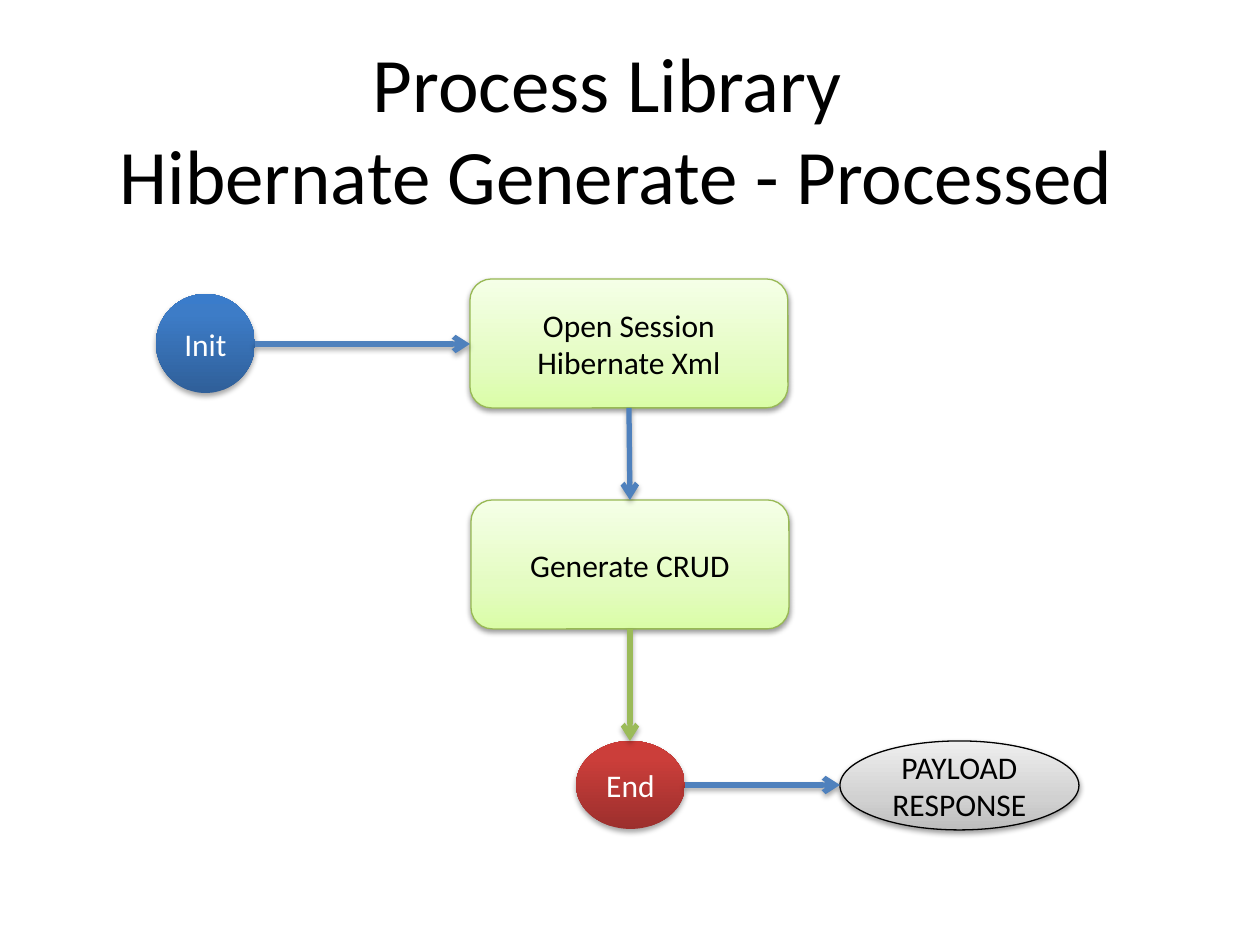
from dataclasses import dataclass

import lxml.etree
import pptx
import pptx.dml.color
import pptx.enum.shapes
import pptx.enum.text
import pptx.oxml
import pptx.oxml.ns
import pptx.util

PX = 914400 // 126
FONT = "Calibri"
SHAPE = pptx.enum.shapes.MSO_SHAPE
qn = pptx.oxml.ns.qn

COLORS = {
    "black": "000000",
    "white": "FFFFFF",
    "blue": "4F81BD",
    "green": "9BBB59",
    "green_edge": "98B955",
}
GRADIENTS = {
    "blue": [(0, "2F5F99"), (80, "3D7CC7"), (100, "3A7CCB")],
    "red": [(0, "9C2F2D"), (80, "CB3E3A"), (100, "CE3B37")],
    "green": [(0, "DAFDA7"), (35, "E4FCC2"), (100, "F5FFE7")],
    "gray": [(0, "BDBDBD"), (35, "D1D1D1"), (100, "EEEEEE")],
}


@dataclass
class Node:
    kind: SHAPE
    left: int
    top: int
    width: int
    height: int
    lines: list[str]
    gradient: str
    text_color: str = "black"
    edge: str | None = None


@dataclass
class Arrow:
    x1: int
    y1: int
    x2: int
    y2: int
    color: str = "blue"


NODES = [
    Node(SHAPE.OVAL, 156, 294, 99, 99, ["Init"], "blue", "white"),
    Node(SHAPE.OVAL, 576, 741, 109, 88, ["End"], "red", "white"),
    Node(SHAPE.ROUNDED_RECTANGLE, 470, 279, 318, 129,
         ["Open Session Hibernate Xml"], "green", edge="green_edge"),
    Node(SHAPE.ROUNDED_RECTANGLE, 471, 500, 318, 129,
         ["Generate CRUD"], "green", edge="green_edge"),
    Node(SHAPE.OVAL, 840, 741, 239, 89,
         ["PAYLOAD", "RESPONSE"], "gray", edge="black"),
]
ARROWS = [
    Arrow(255, 344, 470, 344),
    Arrow(629, 408, 630, 500),
    Arrow(630, 629, 630, 741, "green"),
    Arrow(685, 785, 840, 785),
]


def px(n: int) -> int:
    return pptx.util.Emu(n * PX)


def rgb(name: str) -> pptx.dml.color.RGBColor:
    return pptx.dml.color.RGBColor.from_string(COLORS[name])


def add_color(parent, value: str):
    return lxml.etree.SubElement(parent, qn("a:srgbClr"), val=value)


def set_shadow(sp_pr, alpha: int, dist: int) -> None:
    effects = sp_pr.find(qn("a:effectLst"))
    if effects is None:
        effects = lxml.etree.SubElement(sp_pr, qn("a:effectLst"))
    shadow = lxml.etree.SubElement(
        effects, qn("a:outerShdw"), blurRad="40000", dist=str(dist),
        dir="5400000", rotWithShape="0")
    color = add_color(shadow, COLORS["black"])
    lxml.etree.SubElement(color, qn("a:alpha"), val=str(alpha * 1000))


def set_gradient(sp, stops: list[tuple[int, str]]) -> None:
    sp.fill.gradient()
    sp.fill.gradient_angle = 90
    stop_list = sp._element.spPr.find(".//" + qn("a:gsLst"))
    for stop in list(stop_list):
        stop_list.remove(stop)
    for position, value in stops:
        stop = lxml.etree.SubElement(
            stop_list, qn("a:gs"), pos=str(position * 1000))
        add_color(stop, value)


def set_text(sp, lines: list[str], size: int, color: str) -> None:
    tf = sp.text_frame
    tf.word_wrap = True
    tf.vertical_anchor = pptx.enum.text.MSO_ANCHOR.MIDDLE
    tf.text = "\n".join(lines)
    for p in tf.paragraphs:
        p.alignment = pptx.enum.text.PP_ALIGN.CENTER
        p.font.name = FONT
        p.font.size = pptx.util.Pt(size)
        p.font.color.rgb = rgb(color)


def add_node(s, node: Node) -> None:
    sp = s.shapes.add_shape(node.kind, px(node.left), px(node.top),
                            px(node.width), px(node.height))
    set_gradient(sp, GRADIENTS[node.gradient])
    if node.edge:
        sp.line.color.rgb = rgb(node.edge)
        sp.line.width = pptx.util.Pt(0.75)
    else:
        sp.line.fill.background()
    sp.shadow.inherit = False
    alpha, dist = (38, 20000) if node.edge else (35, 23000)
    set_shadow(sp._element.spPr, alpha, dist)
    set_text(sp, node.lines, 18, node.text_color)


def add_arrow(s, arrow: Arrow) -> None:
    line = s.shapes.add_connector(
        pptx.enum.shapes.MSO_CONNECTOR.STRAIGHT,
        px(arrow.x1), px(arrow.y1), px(arrow.x2), px(arrow.y2))
    line.line.color.rgb = rgb(arrow.color)
    line.line.width = pptx.util.Pt(3)
    sp_pr = line._element.spPr
    lxml.etree.SubElement(sp_pr.find(qn("a:ln")), qn("a:tailEnd"), type="arrow")
    set_shadow(sp_pr, 35, 23000)


prs = pptx.Presentation()
prs.slide_width = px(1260)
prs.slide_height = px(945)
s = prs.slides.add_slide(prs.slide_layouts[6])

title = s.shapes.add_textbox(px(81), px(26), px(1071), px(203))
set_text(title, ["Process Library ", "Hibernate Generate - Processed"], 44, "black")
for node in NODES:
    add_node(s, node)
for arrow in ARROWS:
    add_arrow(s, arrow)

prs.save("out.pptx")
